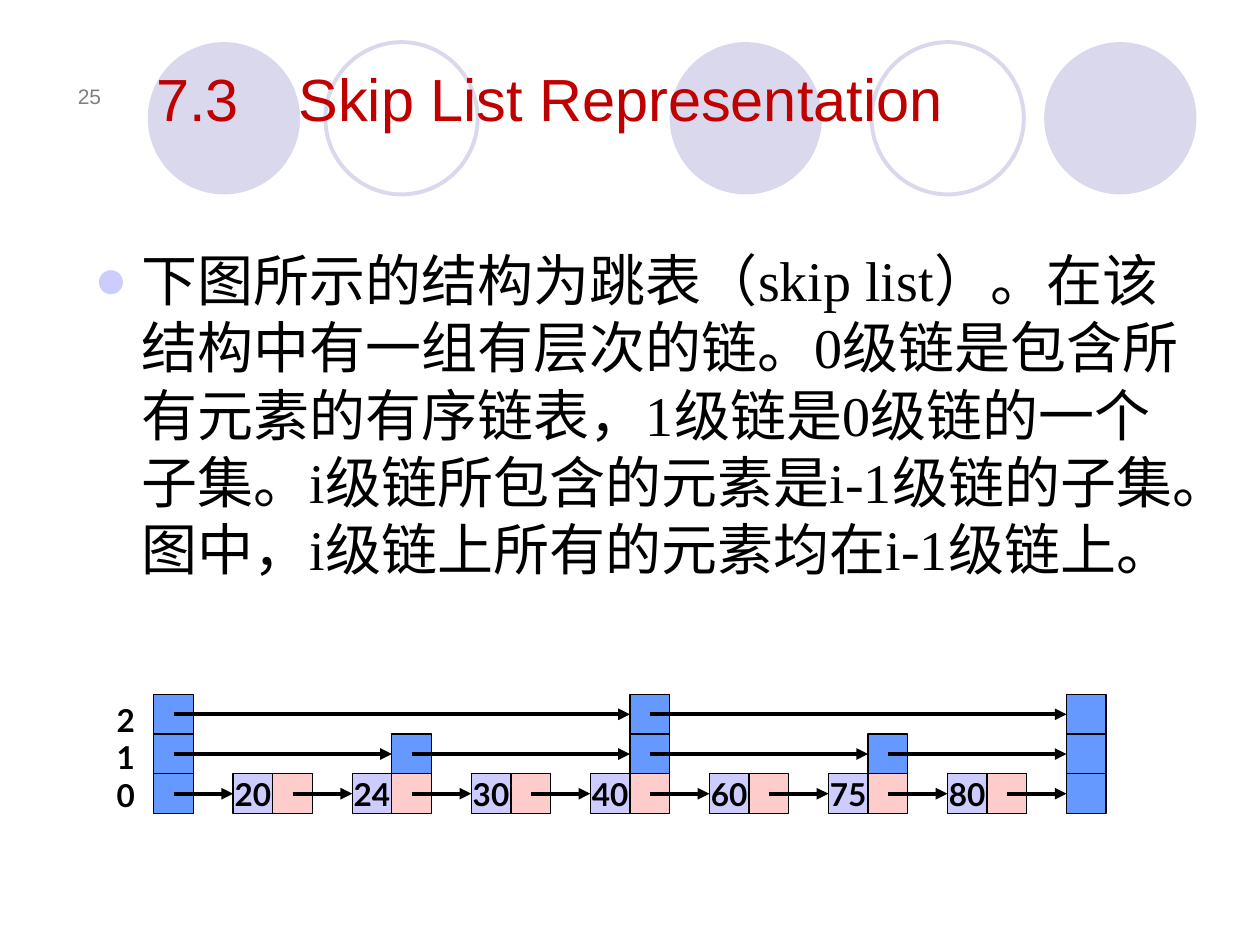
from dataclasses import dataclass
from itertools import pairwise
from typing import Any

from lxml.etree import SubElement
from pptx import Presentation
from pptx.dml.color import RGBColor
from pptx.enum.shapes import MSO_CONNECTOR, MSO_SHAPE
from pptx.enum.text import MSO_ANCHOR, PP_ALIGN
from pptx.oxml.ns import qn
from pptx.util import Cm, Pt

HUES = {
    "ring": "D9D8EC", "title": "C00000", "number": "808080", "ink": "000000",
    "bullet": "CCCCFF", "level": "6699FF", "value": "CCCCFF", "next": "FFCCCC",
}
CELL = 0.8
LEFT, TOP = 3.1, 14.0
KEYS = [20, 24, 30, 40, 60, 75, 80]
END = 3 * len(KEYS) + 2
BODY = (
    "下图所示的结构为跳表（skip list）。在该结构中有一组有层次的链。"
    "0级链是包含所有元素的有序链表，1级链是0级链的一个子集。"
    "i级链所包含的元素是i-1级链的子集。图中，i级链上所有的元素均在i-1级链上。"
)


@dataclass
class Ring:
    left: float
    solid: bool


@dataclass
class Cell:
    col: int
    level: int
    hue: str
    text: str = ""


@dataclass
class Label:
    text: str
    box: tuple[float, float, float, float]
    font: dict[str, Any]
    hue: str = "ink"
    anchor: MSO_ANCHOR = MSO_ANCHOR.TOP
    align: PP_ALIGN = PP_ALIGN.LEFT
    bullet: bool = False


BOLD = {"name": "Lato", "size": Pt(18), "bold": True}
RINGS = [Ring(13.5, True), Ring(21.05, True), Ring(2.98, True),
         Ring(17.57, False), Ring(6.56, False)]
LABELS = [
    Label("25", (0.89, 1.12, 1.4, 1.19), {"name": "Arial", "size": Pt(12)},
          "number", MSO_ANCHOR.BOTTOM, PP_ALIGN.RIGHT),
    Label("7.3\t Skip List Representation", (2.9, 0.91, 21.51, 1.91),
          {"name": "Arial", "size": Pt(34)}, "title", MSO_ANCHOR.BOTTOM),
    Label(BODY, (1.65, 4.83, 22.48, 7.24),
          {"name": "Times New Roman", "size": Pt(32)}, bullet=True),
    # One digit per line: the box is narrower than two digits
    Label("210", (2.1, TOP, 0.8, 2.54), BOLD),
]


def tint(hue: str) -> RGBColor:
    return RGBColor.from_string(HUES[hue])


def style(font: Any, form: dict[str, Any], hue: str) -> None:
    for name, value in form.items():
        setattr(font, name, value)
    font.color.rgb = tint(hue)


def add_ring(slide: Any, ring: Ring) -> None:
    shape = slide.shapes.add_shape(
        MSO_SHAPE.OVAL, Cm(ring.left), Cm(0.85), Cm(3.07), Cm(3.07))
    shape.shadow.inherit = False
    if ring.solid:
        shape.fill.solid()
        shape.fill.fore_color.rgb = tint("ring")
        shape.line.fill.background()
    else:
        shape.fill.background()
        shape.line.color.rgb = tint("ring")
        shape.line.width = Pt(2.25)


def add_bullet(para: Any) -> None:
    props = para._p.get_or_add_pPr()
    props.set("marL", str(Cm(0.95)))
    props.set("indent", str(-Cm(0.95)))
    color = SubElement(props, qn("a:buClr"))
    SubElement(color, qn("a:srgbClr"), val=HUES["bullet"])
    SubElement(props, qn("a:buFont"), typeface="Arial")
    SubElement(props, qn("a:buChar"), char="●")


def add_label(slide: Any, label: Label) -> None:
    frame = slide.shapes.add_textbox(*map(Cm, label.box)).text_frame
    frame.word_wrap = True
    frame.vertical_anchor = label.anchor
    para = frame.paragraphs[0]
    para.alignment = label.align
    if label.bullet:
        add_bullet(para)
    run = para.add_run()
    run.text = label.text
    style(run.font, label.font, label.hue)


def add_cell(slide: Any, cell: Cell) -> Any:
    shape = slide.shapes.add_shape(
        MSO_SHAPE.RECTANGLE, Cm(LEFT + cell.col * CELL),
        Cm(TOP + (2 - cell.level) * CELL), Cm(CELL), Cm(CELL))
    shape.shadow.inherit = False
    shape.fill.solid()
    shape.fill.fore_color.rgb = tint(cell.hue)
    shape.line.color.rgb = tint("ink")
    shape.line.width = Pt(0.75)
    if cell.text:
        frame = shape.text_frame
        frame.word_wrap = False
        frame.vertical_anchor = MSO_ANCHOR.MIDDLE
        para = frame.paragraphs[0]
        para.alignment = PP_ALIGN.CENTER
        run = para.add_run()
        run.text = cell.text
        style(run.font, BOLD, "ink")
    return shape


def add_arrow(slide: Any, start: Any, goal: Any) -> None:
    """Point from the centre of one cell to the left side of another."""
    mid = start.top + start.height // 2
    arrow = slide.shapes.add_connector(
        MSO_CONNECTOR.STRAIGHT, start.left + start.width // 2, mid,
        goal.left, mid)
    arrow.end_connect(goal, 1)
    arrow.line.color.rgb = tint("ink")
    arrow.line.width = Pt(2.25)
    SubElement(arrow.line._get_or_add_ln(), qn("a:tailEnd"), type="triangle")
    SubElement(arrow._element.spPr, qn("a:effectLst"))


def add_chains(slide: Any) -> None:
    """Draw every level; each link is an (entry, exit) pair of cells."""
    links = {level: [] for level in range(3)}
    head = add_cell(slide, Cell(0, 0, "level"))
    links[0].append((head, head))
    for spot, key in enumerate(KEYS):
        col = 2 + 3 * spot
        value = add_cell(slide, Cell(col, 0, "value", str(key)))
        after = add_cell(slide, Cell(col + 1, 0, "next"))
        links[0].append((value, after))
    last = add_cell(slide, Cell(END, 0, "level"))
    links[0].append((last, last))
    for level, keys in {1: [24, 40, 75], 2: [40]}.items():
        cols = [0, *(3 + 3 * KEYS.index(key) for key in keys), END]
        for col in cols:
            cell = add_cell(slide, Cell(col, level, "level"))
            links[level].append((cell, cell))
    for chain in links.values():
        for (_, start), (goal, _) in pairwise(chain):
            add_arrow(slide, start, goal)


def main() -> None:
    deck = Presentation()
    deck.slide_width, deck.slide_height = Cm(25.4), Cm(19.05)
    slide = deck.slides.add_slide(deck.slide_layouts[6])
    for ring in RINGS:
        add_ring(slide, ring)
    for label in LABELS:
        add_label(slide, label)
    add_chains(slide)
    deck.save("out.pptx")


if __name__ == "__main__":
    main()
